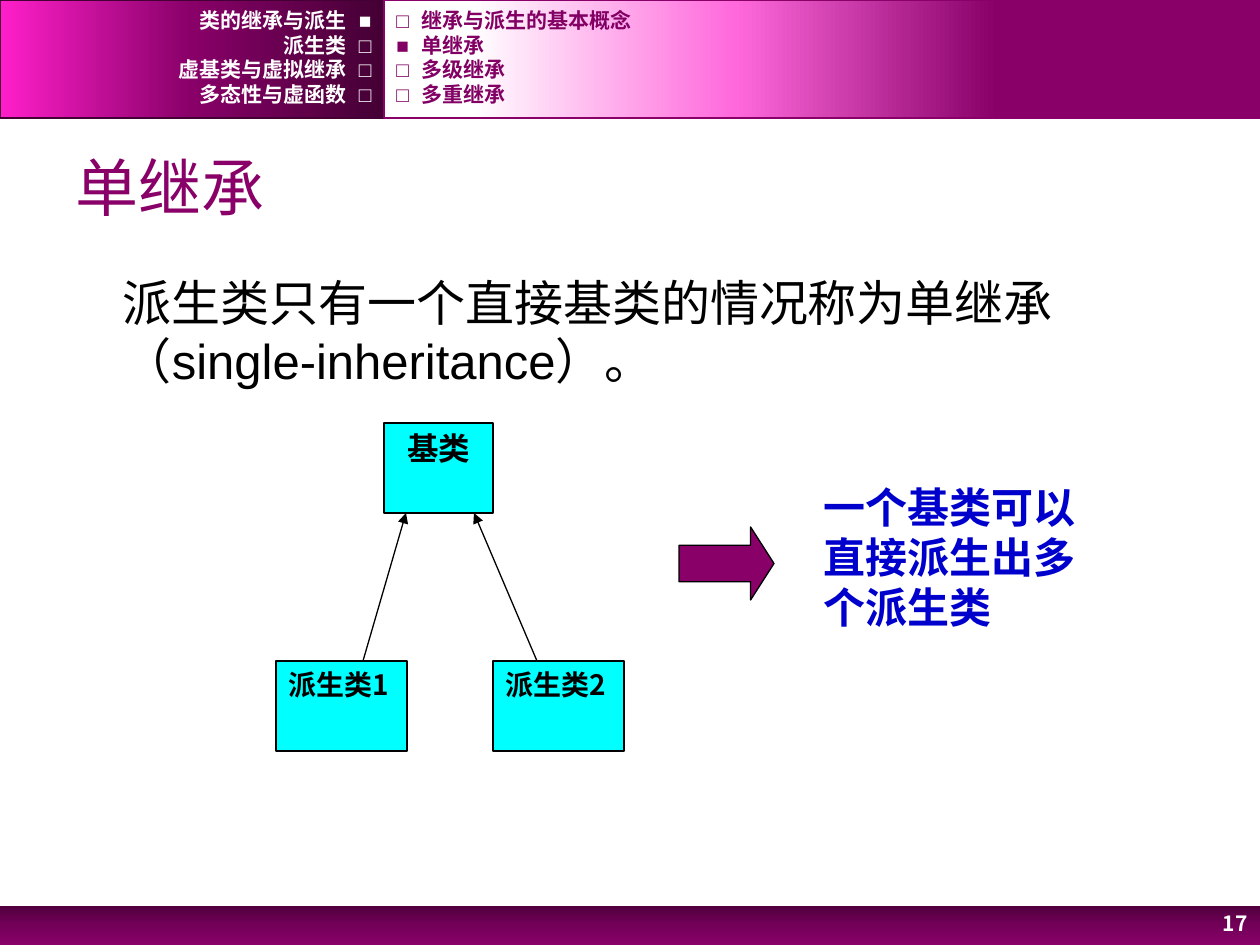
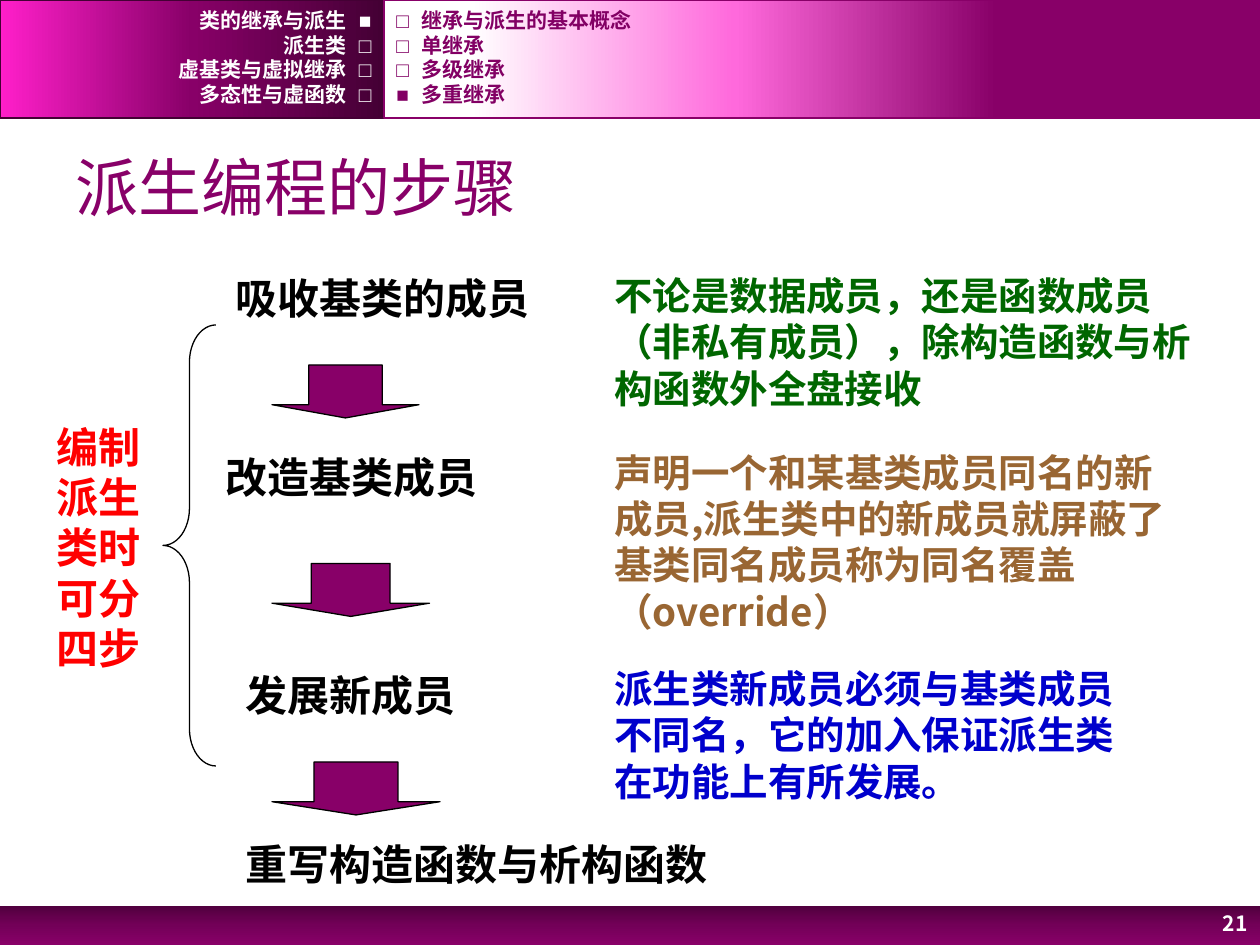
from pptx import Presentation, util as u
from pptx.dml.color import RGBColor
from pptx.enum import shapes as kinds, text as txt
from pptx.oxml import parse_xml
from pptx.oxml.ns import nsdecls, qn
from lxml import etree

SCALE = 914400 / 126
WIDE, HIGH = 1260, 945
PLUM, DARK, PINK = "880068", "440034", "FF1FCA"
NAVY, BLACK, WHITE = "0000CC", "000000", "FFFFFF"
SANS, ARIAL, MONO = "Noto Sans CJK SC", "Arial", "Courier New"
SIDES = {"l": txt.PP_ALIGN.LEFT, "c": txt.PP_ALIGN.CENTER,
         "r": txt.PP_ALIGN.RIGHT, "j": txt.PP_ALIGN.JUSTIFY}
TYPES = kinds.MSO_SHAPE

PARTS = ["类的继承与派生", "派生类", "虚基类与虚拟继承", "多态性与虚函数"]
TOPICS = ["继承与派生的基本概念", "单继承", "多级继承", "多重继承"]


def px(*nums):
    """Turn pixels into EMU."""
    return [u.Emu(round(n * SCALE)) for n in nums]


def color(code):
    """Turn a hex string into a colour."""
    return RGBColor.from_string(code)


def write(shape, words, size=24, font=SANS, ink=BLACK, bold=True,
          side="l", mid=False, left=None, pad=None, before=0):
    """Put one formatted paragraph into a shape."""
    frame = shape.text_frame
    frame.word_wrap = True
    frame.auto_size = txt.MSO_AUTO_SIZE.NONE
    frame.vertical_anchor = (txt.MSO_ANCHOR.MIDDLE if mid
                             else txt.MSO_ANCHOR.TOP)
    if left is not None:
        frame.margin_left = px(left)[0]
    if pad is not None:
        frame.margin_top = frame.margin_bottom = px(pad)[0]
    para = frame.paragraphs[0]
    para.alignment = SIDES[side]
    para.space_before = u.Pt(before)
    run = para.add_run()
    run.text = words
    face = run.font
    face.size, face.bold, face.name = u.Pt(size), bold, font
    face.color.rgb = color(ink)
    east = etree.SubElement(run._r.get_or_add_rPr(), qn("a:ea"))
    east.set("typeface", font)


def label(host, words, box, **style):
    """Add a text box."""
    write(host.add_textbox(*px(*box)), words, **style)


def blend(shape, stops, angle):
    """Fill a shape with a linear gradient of (percent, colour) stops."""
    marks = "".join(
        f'<a:gs pos="{at * 1000}"><a:srgbClr val="{code}"/></a:gs>'
        for at, code in stops)
    fill = parse_xml(
        f'<a:gradFill {nsdecls("a")} rotWithShape="1"><a:gsLst>{marks}'
        f'</a:gsLst><a:lin ang="{angle * 60000}" scaled="0"/></a:gradFill>')
    shape.fill.background()
    blank = shape._element.spPr.find(qn("a:noFill"))
    blank.getparent().replace(blank, fill)


def form(host, kind, box, fill=None, line=BLACK, width=0.75, adj=()):
    """Add a preset shape."""
    shape = host.add_shape(kind, *px(*box))
    shape.shadow.inherit = False
    if fill:
        shape.fill.solid()
        shape.fill.fore_color.rgb = color(fill)
    else:
        shape.fill.background()
    if line:
        shape.line.color.rgb = color(line)
        shape.line.width = u.Pt(width)
    else:
        shape.line.fill.background()
    for i, value in enumerate(adj):
        shape.adjustments[i] = value
    return shape


def arrow(host, start, end):
    """Draw a thin line with an arrowhead at its end."""
    link = host.add_connector(kinds.MSO_CONNECTOR.STRAIGHT,
                              *px(*start, *end))
    link.line.color.rgb = color(BLACK)
    link.line.width = u.Pt(0.75)
    tip = etree.SubElement(link.line._get_or_add_ln(), qn("a:tailEnd"))
    tip.set("type", "triangle")
    etree.SubElement(link._element.spPr, qn("a:effectLst"))


def menu(host, box, items, now, ink, side):
    """List items with a square each; the current one is filled."""
    x, y, w, h = box
    step = h / len(items)
    for i, item in enumerate(items):
        mark = "■" if i == now else "□"
        words = f"{item} {mark}" if side == "r" else f"{mark} {item}"
        label(host, words, (x, y + i * step, w, step), size=12, font=MONO,
              ink=ink, side=side, mid=True, pad=0)


def header(host, box, topic):
    """Draw the two navigation panels."""
    x, y, w, h = box
    split = 384
    panels = [(x, split, DARK, [(0, DARK), (50, PLUM), (100, PINK)]),
              (x + split, w - split, PLUM,
               [(30, PLUM), (60, "FF69DC"), (90, WHITE)])]
    for left, wide, edge, stops in panels:
        panel = form(host, TYPES.RECTANGLE, (left, y, wide, h),
                     line=edge, width=1)
        blend(panel, stops, 180)
    menu(host, (x, y + 8, split, 98), PARTS, 0, WHITE, "r")
    menu(host, (x + split, y + 8, 758, 98), TOPICS, topic, "820064", "l")


def footer(host, box, page):
    """Draw the bottom band and the page number."""
    x, y, w, h = box
    band = form(host, TYPES.RECTANGLE, box, line=None)
    blend(band, [(0, "51003E"), (50, "730058"), (100, PLUM)], 90)
    label(host, str(page), (x + w - 103, y - 4, 103, h + 4), size=12,
          ink=WHITE, side="r", mid=True)


def start(deck, title, topic, page):
    """Add a slide with title, header and footer; return its shapes."""
    host = deck.slides.add_slide(deck.slide_layouts[5]).shapes
    header(host, (0, 0, WIDE, 118), topic)
    footer(host, (0, 906, WIDE, 39), page)
    head = host.title
    head.left, head.top, head.width, head.height = px(63, 137, 1134, 98)
    write(head, title, size=36, font=ARIAL, ink=PLUM, bold=False, mid=True)
    return host


def tree(host, box):
    """Draw a base class with two derived classes pointing to it."""
    x, y, w, h = box
    group = host.add_group_shape().shapes
    tall, base, leaf = 90, 109, 131
    low = y + h - tall
    nodes = [("基类", x + 108, y, base, 18, "c"),
             ("派生类1", x, low, leaf, 16, "j"),
             ("派生类2", x + w - leaf, low, leaf, 16, "j")]
    for name, left, top, wide, size, side in nodes:
        node = form(group, TYPES.RECTANGLE, (left, top, wide, tall), "00FFFF")
        write(node, name, size=size, side=side)
    for foot, tip in [(87, 130), (261, 198)]:
        arrow(group, (x + foot, low), (x + tip, y + tall))


def steps(host, box):
    """Stack the four steps with growing arrows between them."""
    x, y, w, h = box
    names = [("吸收基类的成员", 10, 0), ("改造基类成员", 0, 179),
             ("发展新成员", 20, 397), ("重写构造函数与析构函数", 20, 566)]
    for name, dx, dy in names:
        label(host, name, (x + dx, y + dy, w - dx, 63))
    for i in range(len(names) - 1):
        form(host, TYPES.DOWN_ARROW,
             (x + 59, y + 99 + 198.5 * i, 147 + 10.5 * i, 53), PLUM,
             adj=(0.5, 0.25))


def notes(host, box):
    """Write the coloured remark beside each step."""
    x, y, w, h = box
    rows = [("不论是数据成员，还是函数成员（非私有成员），除构造函数与析构函数外全盘接收",
             0, w, 152, "006600"),
            ("声明一个和某基类成员同名的新成员,派生类中的新成员就屏蔽了基类同名成员"
             "称为同名覆盖（override）", 177, 600, 199, "996633"),
            ("派生类新成员必须与基类成员不同名，它的加入保证派生类在功能上有所发展。",
             393, 562, 152, NAVY)]
    for words, dy, wide, tall, ink in rows:
        label(host, words, (x, y + dy, wide, tall), size=22, ink=ink)


def single(deck):
    """Build the slide on single inheritance."""
    host = start(deck, "单继承", 1, 17)
    label(host, "派生类只有一个直接基类的情况称为单继承（single-inheritance）。",
          (63, 266, 1134, 150), size=28, font=ARIAL, bold=False, left=60,
          before=5.6)
    tree(host, (276, 423, 348, 328))
    form(host, TYPES.RIGHT_ARROW, (679, 527, 95, 73), PLUM, adj=(0.5, 0.32))
    label(host, "一个基类可以直接派生出多个派生类", (811, 475, 311, 165),
          ink=NAVY)


def derive(deck):
    """Build the slide on the steps of derivation."""
    host = start(deck, "派生编程的步骤", 3, 21)
    label(host, "编制派生类时可分四步", (44, 415, 111, 267), ink="FF0000")
    form(host, TYPES.LEFT_BRACE, (163, 325, 53, 441), adj=(0.7, 0.5))
    steps(host, (213, 266, 533, 629))
    notes(host, (602, 266, 617, 545))


def main():
    """Build and save the deck."""
    deck = Presentation()
    deck.slide_width, deck.slide_height = px(WIDE, HIGH)
    single(deck)
    derive(deck)
    deck.save("out.pptx")


main()
